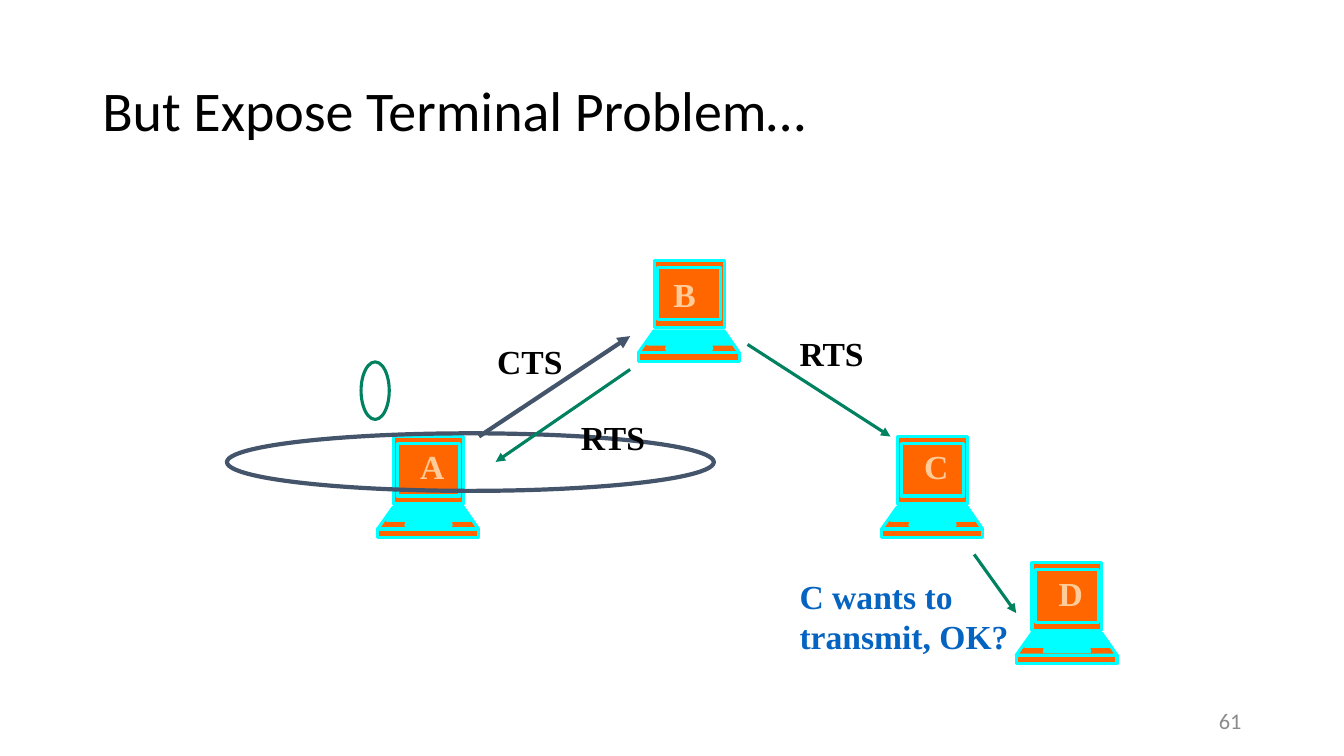
import pptx
import pptx.util
import pptx.dml.color
import pptx.enum.shapes
import pptx.enum.text
import pptx.oxml
import pptx.oxml.ns
import lxml.etree

Cm = pptx.util.Cm
Pt = pptx.util.Pt
qn = pptx.oxml.ns.qn
ALIGN = pptx.enum.text.PP_ALIGN
ANCHOR = pptx.enum.text.MSO_ANCHOR
FIT = pptx.enum.text.MSO_AUTO_SIZE

HUES = {
    "black": "000000", "gray": "8C8C8C", "slate": "44546A", "green": "008260",
    "blue": "0563C1", "peach": "FFCC99", "orange": "FF6600", "cyan": "00FFFF",
}

# top, bottom, top left, top right, bottom left, bottom right in 0.01 cm
PARTS = [
    (0, 170, 40, 216, 40, 216),
    (178, 233, 39, 216, 0, 254),
    (233, 254, 0, 254, 0, 254),
    (18, 150, 49, 207, 49, 207),
    (183, 190, 39, 216, 35, 221),
    (216, 224, 73, 183, 71, 185),
    (196, 201, 33, 221, 28, 226),
    (206, 211, 28, 229, 23, 234),
]


def hue(name):
    return pptx.dml.color.RGBColor.from_string(HUES[name])


def write(frame, text, font="Times New Roman", size=24, color="black", bold=True,
          align=ALIGN.LEFT, space=None):
    para = frame.paragraphs[0]
    para.alignment = align
    para.line_spacing = space
    run = para.add_run()
    run.text = text
    run.font.name = font
    run.font.size = Pt(size)
    run.font.bold = bold
    run.font.color.rgb = hue(color)


class Pen:
    def __init__(self, slide):
        self.shapes = slide.shapes

    def line(self, shape, color, width):
        shape.line.color.rgb = hue(color)
        shape.line.width = Pt(width)

    def text(self, text, x, y, w, h, wrap=False, anchor=ANCHOR.TOP,
             fit=FIT.SHAPE_TO_FIT_TEXT, **style):
        box = self.shapes.add_textbox(Cm(x), Cm(y), Cm(w), Cm(h))
        frame = box.text_frame
        frame.word_wrap = wrap
        frame.auto_size = fit
        frame.vertical_anchor = anchor
        write(frame, text, **style)

    def ring(self, x, y, w, h, color, width):
        oval = pptx.enum.shapes.MSO_SHAPE.OVAL
        ring = self.shapes.add_shape(oval, Cm(x), Cm(y), Cm(w), Cm(h))
        ring.shadow.inherit = False
        ring.fill.background()
        self.line(ring, color, width)

    def arrow(self, x1, y1, x2, y2, color="green", width=2.25):
        kind = pptx.enum.shapes.MSO_CONNECTOR.STRAIGHT
        arrow = self.shapes.add_connector(kind, Cm(x1), Cm(y1), Cm(x2), Cm(y2))
        self.line(arrow, color, width)
        props = arrow._element.spPr
        tip = lxml.etree.SubElement(props.find(qn("a:ln")), qn("a:tailEnd"))
        tip.set("type", "triangle")
        lxml.etree.SubElement(props, qn("a:effectLst"))

    def host(self, x, y):
        form = self.shapes.build_freeform(PARTS[0][2], PARTS[0][0], scale=Cm(0.01))
        for top, low, left, right, west, east in PARTS:
            form.move_to(left, top)
            form.add_line_segments([(right, top), (east, low), (west, low)])
        host = form.convert_to_shape(Cm(x), Cm(y))
        self.split(host)
        host.shadow.inherit = False
        host.fill.solid()
        host.fill.fore_color.rgb = hue("orange")
        self.line(host, "cyan", 2.25)

    def split(self, host):
        whole = host._element.xpath(".//a:path")[0]
        group = whole.getparent()
        group.remove(whole)
        for step in list(whole):
            if step.tag == qn("a:moveTo"):
                part = lxml.etree.SubElement(group, whole.tag, dict(whole.attrib))
            part.append(step)
        for part in list(group):
            if len(part) == 1 or part.find(qn("a:lnTo")) is None:
                group.remove(part)


def main():
    deck = pptx.Presentation()
    deck.slide_width = Cm(33.87)
    deck.slide_height = Cm(19.05)
    pen = Pen(deck.slides.add_slide(deck.slide_layouts[6]))

    pen.text("But Expose Terminal Problem…", 2.33, 1.01, 29.21, 3.68, wrap=True,
             anchor=ANCHOR.MIDDLE, fit=FIT.NONE, font="Calibri", size=40,
             bold=False, space=0.9)

    hosts = [
        ("A", 9.52, 11, 0.82, 0.12),
        ("B", 16.09, 6.56, 0.63, 0.22),
        ("C", 22.22, 11, 0.82, 0.12),
        ("D", 25.61, 14.18, 0.82, 0.12),
    ]
    for name, x, y, dx, dy in hosts:
        pen.host(x, y)
    pen.ring(5.72, 10.92, 12.27, 1.45, "slate", 3)
    pen.ring(9.1, 9.12, 0.71, 1.45, "green", 2.25)
    for name, x, y, dx, dy in hosts:
        pen.text(name, x + dx, y + dy, 1.11, 1.27, color="peach")

    pen.arrow(12.07, 11, 15.88, 8.47, "slate", 3)
    for ends in [(15.88, 9.31, 12.49, 11.64), (18.84, 8.68, 22.44, 11),
                 (24.55, 13.97, 25.61, 15.45)]:
        pen.arrow(*ends)
    for word, x, y in [("CTS", 12.28, 8.47), ("RTS", 14.39, 10.37), ("RTS", 19.9, 8.26)]:
        pen.text(word, x, y, 2.16, 1.27)
    pen.text("C wants to transmit, OK?", 19.9, 14.39, 6.14, 2.31, wrap=True, color="blue")
    pen.text("61", 23.92, 17.66, 7.62, 1.01, wrap=True, anchor=ANCHOR.MIDDLE,
             fit=FIT.NONE, font="Calibri", size=16, color="gray", bold=False,
             align=ALIGN.RIGHT)

    deck.save("out.pptx")


if __name__ == "__main__":
    main()
